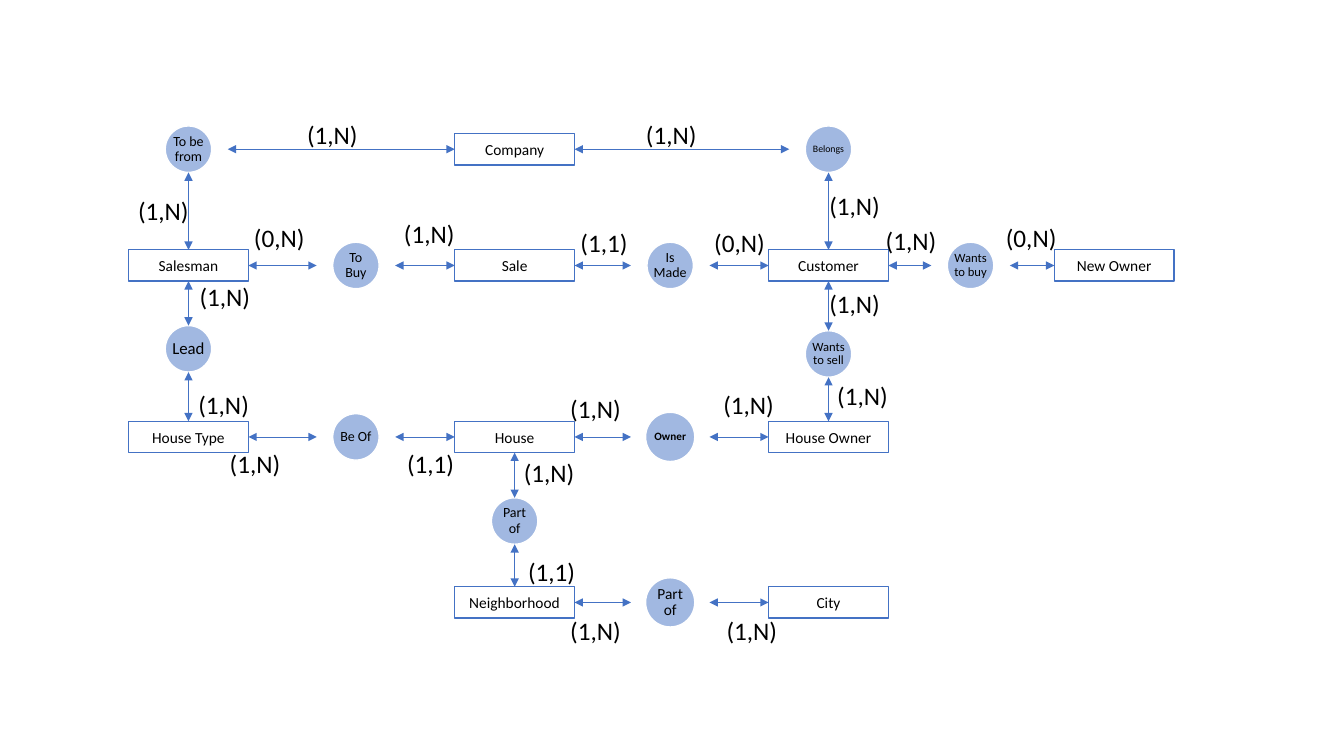
from lxml.etree import SubElement
from pptx import Presentation
from pptx.dml.color import RGBColor
from pptx.enum.shapes import MSO_CONNECTOR, MSO_SHAPE
from pptx.enum.text import MSO_ANCHOR, PP_ALIGN
from pptx.oxml.ns import qn
from pptx.util import Cm, Pt

COLORS = {"blue": "4472C4", "white": "FFFFFF", "black": "000000"}
FONT = "Calibri"

# Centres of the columns and rows, in cm
COLS = {"salesman": 4.75, "buy": 8.97, "sale": 12.97, "made": 16.89,
        "customer": 20.88, "wants": 24.46, "new": 28.08}
ROWS = {"company": 3.76, "sale": 6.69, "lead": 8.79, "sell": 8.92,
        "house": 11.01, "part": 13.13, "city": 15.18}

# name: column, row
ENTITIES = {
    "Company": ("sale", "company"),
    "Salesman": ("salesman", "sale"),
    "Sale": ("sale", "sale"),
    "Customer": ("customer", "sale"),
    "New Owner": ("new", "sale"),
    "House Type": ("salesman", "house"),
    "House": ("sale", "house"),
    "House Owner": ("customer", "house"),
    "Neighborhood": ("sale", "city"),
    "City": ("customer", "city"),
}

# key: text, column, row, diameter, text size
RELATIONS = {
    "from": ("To be from", "salesman", "company", 1.17, 10),
    "belongs": ("Belongs", "customer", "company", 1.17, 7),
    "buy": ("To Buy", "buy", "sale", 1.17, 10),
    "made": ("Is Made", "made", "sale", 1.17, 10),
    "wants buy": ("Wants to buy", "wants", "sale", 1.17, 9),
    "lead": ("Lead", "salesman", "lead", 1.17, 12),
    "wants sell": ("Wants to sell", "customer", "sell", 1.17, 9),
    "be of": ("Be Of", "buy", "house", 1.17, 10),
    "owner": ("Owner", "made", "house", 1.24, 8),
    "part": ("Part of", "sale", "part", 1.17, 10),
    "part city": ("Part of", "made", "city", 1.24, 11),
}

# entity, relation, cardinality, left and top of the cardinality in cm
LINKS = [
    ("Company", "from", "(1,N)", 7.49, 2.87),
    ("Company", "belongs", "(1,N)", 16.03, 2.87),
    ("Salesman", "from", "(1,N)", 3.23, 4.8),
    ("Customer", "belongs", "(1,N)", 20.65, 4.67),
    ("Salesman", "buy", "(0,N)", 6.15, 5.49),
    ("Sale", "buy", "(1,N)", 9.93, 5.38),
    ("Sale", "made", "(1,1)", 14.38, 5.61),
    ("Customer", "made", "(0,N)", 17.75, 5.61),
    ("Customer", "wants buy", "(1,N)", 22.07, 5.56),
    ("New Owner", "wants buy", "(0,N)", 25.1, 5.49),
    ("Salesman", "lead", "(1,N)", 4.78, 6.96),
    ("House Type", "lead", "(1,N)", 4.75, 9.68),
    ("Customer", "wants sell", "(1,N)", 20.65, 7.14),
    ("House Owner", "wants sell", "(1,N)", 20.85, 9.45),
    ("House Type", "be of", "(1,N)", 5.54, 11.18),
    ("House", "be of", "(1,1)", 10.01, 11.18),
    ("House", "owner", "(1,N)", 14.12, 9.78),
    ("House Owner", "owner", "(1,N)", 17.98, 9.68),
    ("House", "part", "(1,N)", 12.95, 11.4),
    ("Neighborhood", "part", "(1,1)", 13.06, 13.89),
    ("Neighborhood", "part city", "(1,N)", 14.12, 15.39),
    ("City", "part city", "(1,N)", 18.06, 15.39),
]

BOX_W, BOX_H = 3.02, 0.79
SIDE_REACH = 0.99  # from a relation's centre to the tip of a horizontal arrow
TOP, LEFT, BOTTOM, RIGHT = range(4)  # connection sites of a rectangle


def rgb(name):
    """Return a named colour."""
    return RGBColor.from_string(COLORS[name])


def write(sp, text, size, align=PP_ALIGN.CENTER, anchor=MSO_ANCHOR.MIDDLE,
          bold=False, inset=None, spacing=None, wrap=True):
    """Put one formatted paragraph in a shape."""
    tf = sp.text_frame
    tf.word_wrap = wrap
    tf.vertical_anchor = anchor
    if inset is not None:
        tf.margin_left = tf.margin_right = Cm(inset)
        tf.margin_top = tf.margin_bottom = Cm(inset)
    p = tf.paragraphs[0]
    p.alignment = align
    p.line_spacing = spacing
    r = p.add_run()
    r.text = text
    r.font.name, r.font.size, r.font.bold = FONT, Pt(size), bold
    r.font.color.rgb = rgb("black")


def centred(x, y, w, h):
    """Return left, top, width and height around a centre."""
    return Cm(x - w / 2), Cm(y - h / 2), Cm(w), Cm(h)


def add_filled(shapes, kind, place, fill, line):
    """Add a flat shape with a fill and a 1 pt outline."""
    sp = shapes.add_shape(kind, *place)
    sp.shadow.inherit = False
    sp.fill.solid()
    sp.fill.fore_color.rgb = rgb(fill)
    sp.line.color.rgb = rgb(line)
    sp.line.width = Pt(1)
    return sp


def add_entity(name, col, row):
    """Add an entity box."""
    place = centred(COLS[col], ROWS[row], BOX_W, BOX_H)
    sp = add_filled(s.shapes, MSO_SHAPE.RECTANGLE, place, "white", "blue")
    write(sp, name, 11)
    return sp


def add_relation(text, col, row, d, size):
    """Add a half-transparent circle grouped with its text."""
    x, y = COLS[col], ROWS[row]
    shapes = s.shapes.add_group_shape().shapes
    sp = add_filled(shapes, MSO_SHAPE.OVAL, centred(x, y, d, d), "blue", "white")
    color = sp.fill._xPr.find(qn("a:solidFill"))[0]
    SubElement(color, qn("a:alpha"), val="50000")
    side = 0.72 * d
    label = shapes.add_textbox(*centred(x, y, side, side))
    write(label, text, size, bold=text == "Owner", inset=0, spacing=0.9)


def add_link(entity, relation):
    """Join an entity to a relation with a double-headed arrow."""
    ex, ey = (axis[k] for axis, k in zip((COLS, ROWS), ENTITIES[entity]))
    _, col, row, d, _ = RELATIONS[relation]
    x, y = COLS[col], ROWS[row]
    if x == ex:
        site, y = (BOTTOM, y - d / 2) if y > ey else (TOP, y + d / 2)
    else:
        site, x = (RIGHT, x - SIDE_REACH) if x > ex else (LEFT, x + SIDE_REACH)
    c = s.shapes.add_connector(MSO_CONNECTOR.STRAIGHT, Cm(ex), Cm(ey), Cm(x), Cm(y))
    c.begin_connect(boxes[entity], site)
    c.line.color.rgb = rgb("blue")
    c.line.width = Pt(0.5)
    ln = c.line._get_or_add_ln()
    for end in ("a:headEnd", "a:tailEnd"):
        SubElement(ln, qn(end), type="triangle")
    SubElement(c._element.spPr, qn("a:effectLst"))


prs = Presentation()
prs.slide_width, prs.slide_height = Cm(33.87), Cm(19.05)
s = prs.slides.add_slide(prs.slide_layouts[6])

boxes = {name: add_entity(name, *cell) for name, cell in ENTITIES.items()}
for relation in RELATIONS.values():
    add_relation(*relation)
for entity, relation, *_ in LINKS:
    add_link(entity, relation)
for *_, cardinality, left, top in LINKS:
    sp = s.shapes.add_textbox(Cm(left), Cm(top), Cm(1.96), Cm(1.02))
    write(sp, cardinality, 18, align=PP_ALIGN.LEFT, anchor=MSO_ANCHOR.TOP)

prs.save("out.pptx")
